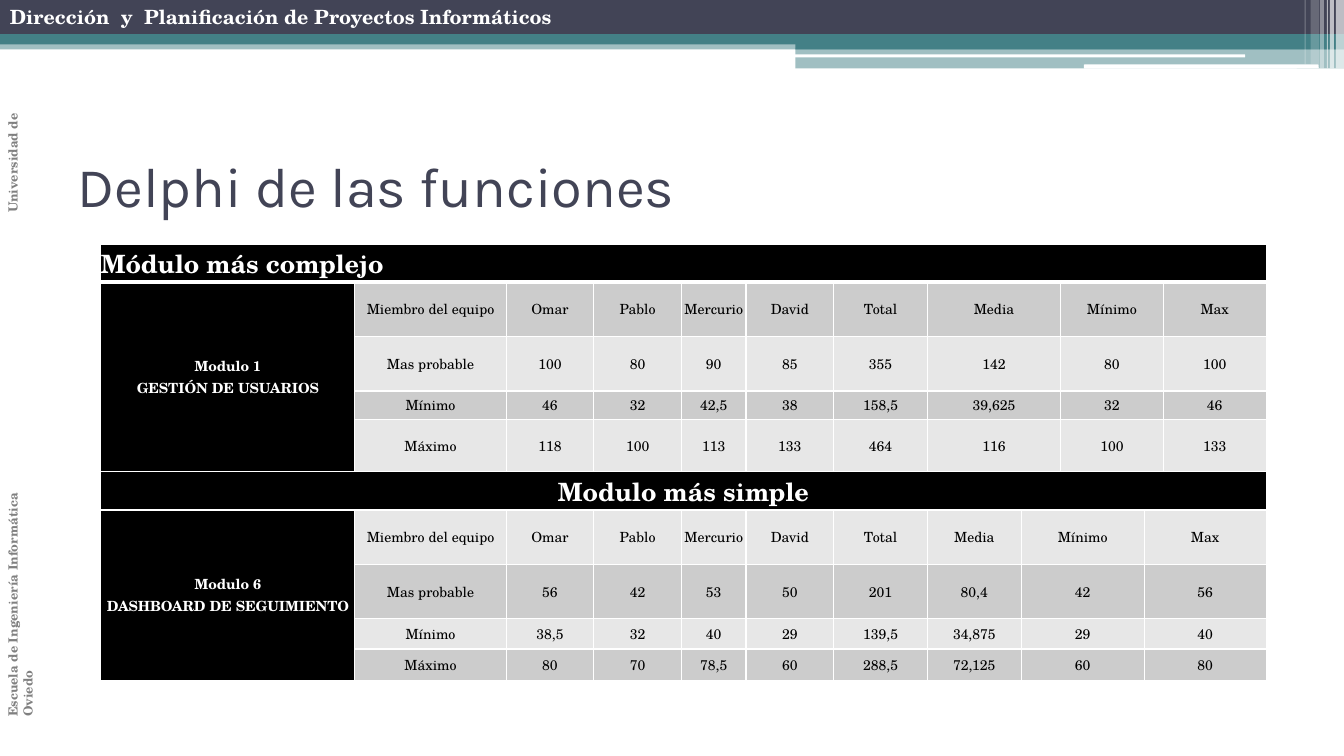
from pptx import Presentation
from pptx.dml.color import RGBColor
from pptx.enum.shapes import MSO_SHAPE
from pptx.enum.text import MSO_ANCHOR, PP_ALIGN
from pptx.oxml import parse_xml
from pptx.oxml.ns import nsdecls, qn
from pptx.util import Inches, Pt
from lxml import etree

NAVY = RGBColor(0x42, 0x44, 0x56)
TEAL = RGBColor(0x43, 0x80, 0x86)
WHITE = RGBColor(0xFF, 0xFF, 0xFF)
BLACK = RGBColor(0, 0, 0)
GRAY = RGBColor(0x80, 0x80, 0x80)
BAND_DARK = RGBColor(0xCC, 0xCC, 0xCC)
BAND_LIGHT = RGBColor(0xE7, 0xE7, 0xE7)


def write(tf, text, size=10, color=BLACK, bold=False, font="TeX Gyre Schola",
          align=PP_ALIGN.LEFT, tabs=()):
    p = tf.paragraphs[0]
    p.alignment = align
    if tabs:
        stops = etree.SubElement(p._p.get_or_add_pPr(), qn("a:tabLst"))
        for tab in tabs:
            etree.SubElement(stops, qn("a:tab"), pos=str(Inches(tab)), algn="l")
    for i, line in enumerate(text.split("\n")):
        if i:
            p.add_line_break()
        r = p.add_run()
        r.text = line
        r.font.name = font
        r.font.size = Pt(size)
        r.font.bold = bold
        r.font.color.rgb = color


prs = Presentation()
prs.slide_width = Inches(13.33)
prs.slide_height = Inches(7.5)
s = prs.slides.add_slide(prs.slide_layouts[6])

RECT, ROUND = MSO_SHAPE.RECTANGLE, MSO_SHAPE.ROUNDED_RECTANGLE
bars = [
    (RECT, 0, 0.4, 13.33, 0.09, TEAL, 50),
    (RECT, 0, 0, 13.33, 0.34, NAVY, 100),
    (RECT, 0, 0.34, 13.33, 0.1, TEAL, 100),
    (RECT, 7.89, 0.39, 5.44, 0.1, TEAL, 100),
    (RECT, 7.89, 0.48, 5.44, 0.2, TEAL, 50),
    (ROUND, 7.88, 0.54, 4.47, 0.03, WHITE, 100),
    (ROUND, 10.75, 0.64, 2.33, 0.04, WHITE, 100),
    (RECT, 13.25, 0, 0.08, 0.68, WHITE, 65),
    (RECT, 13.19, 0, 0.04, 0.68, WHITE, 65),
    (RECT, 13.16, 0, 0.01, 0.68, WHITE, 60),
    (RECT, 13.09, 0, 0.04, 0.68, WHITE, 40),
    (RECT, 13, 0, 0.08, 0.64, WHITE, 20),
    (RECT, 12.94, 0, 0.01, 0.64, WHITE, 30),
]
for kind, x, y, w, h, color, opacity in bars:
    sp = s.shapes.add_shape(kind, Inches(x), Inches(y), Inches(w), Inches(h))
    sp.shadow.inherit = False
    sp.line.fill.background()
    sp.fill.solid()
    sp.fill.fore_color.rgb = color
    if opacity < 100:
        clr = sp.fill._xPr.find(qn("a:solidFill"))[0]
        etree.SubElement(clr, qn("a:alpha")).set("val", str(opacity * 1000))

labels = [
    (0, 0, 8.24, 0.34, "horz", MSO_ANCHOR.TOP,
     "Dirección  y  Planificación de Proyectos Informáticos",
     dict(size=14, color=WHITE, bold=True)),
    (0, 0.54, 0.35, 6.67, "vert270", MSO_ANCHOR.TOP,
     "Escuela de Ingeniería Informática\t\t\tUniversidad de Oviedo",
     dict(size=9, color=GRAY, bold=True, tabs=(3, 4, 5))),
    (0.67, 1.25, 12, 1.17, "horz", MSO_ANCHOR.MIDDLE, "Delphi de las funciones",
     dict(size=40, color=NAVY, font="Karla")),
]
for x, y, w, h, direction, anchor, text, fmt in labels:
    tf = s.shapes.add_textbox(Inches(x), Inches(y), Inches(w), Inches(h)).text_frame
    tf.word_wrap = True
    tf.vertical_anchor = anchor
    tf._txBody.bodyPr.set("vert", direction)
    write(tf, text, **fmt)

COLS = [2.52, 1.5, 0.87, 0.87, 0.64, 0.87, 0.93, 0.93, 0.39, 0.83, 0.19, 1.02]
ROWS = [0.38, 0.54, 0.54, 0.28, 0.52, 0.38, 0.54, 0.54, 0.3, 0.31]
HEADINGS = ["Miembro del equipo", "Omar", "Pablo", "Mercurio", "David",
            "Total", "Media", "Mínimo", "Max"]
modules = [
    (0, "Módulo más complejo", PP_ALIGN.LEFT, "Modulo 1\nGESTIÓN DE USUARIOS",
     [1, 2, 3, 4, 5, 6, 7, 9, 11, 12],
     [HEADINGS,
      ["Mas probable", "100", "80", "90", "85", "355", "142", "80", "100"],
      ["Mínimo", "46", "32", "42,5", "38", "158,5", "39,625", "32", "46"],
      ["Máximo", "118", "100", "113", "133", "464", "116", "100", "133"]]),
    (5, "Modulo más simple", PP_ALIGN.CENTER, "Modulo 6\nDASHBOARD DE SEGUIMIENTO",
     [1, 2, 3, 4, 5, 6, 7, 8, 10, 12],
     [HEADINGS,
      ["Mas probable", "56", "42", "53", "50", "201", "80,4", "42", "56"],
      ["Mínimo", "38,5", "32", "40", "29", "139,5", "34,875", "29", "40"],
      ["Máximo", "80", "70", "78,5", "60", "288,5", "72,125", "60", "80"]]),
]

table = s.shapes.add_table(len(ROWS), len(COLS), Inches(1), Inches(2.42),
                           Inches(sum(COLS)), Inches(sum(ROWS))).table
for column, width in zip(table.columns, COLS):
    column.width = Inches(width)
for row, height in zip(table.rows, ROWS):
    row.height = Inches(height)

for i in range(len(ROWS)):
    for j in range(len(COLS)):
        cell = table.cell(i, j)
        cell.margin_left = cell.margin_right = cell.margin_top = cell.margin_bottom = 0
        cell.vertical_anchor = MSO_ANCHOR.MIDDLE
        cell.fill.solid()
        band = BAND_DARK if i % 2 else BAND_LIGHT
        cell.fill.fore_color.rgb = BLACK if i in (0, 5) or j == 0 else band
        tcPr = cell._tc.get_or_add_tcPr()
        for k, side in enumerate(["lnL", "lnR", "lnT", "lnB"]):
            thick = (i, side) in [(0, "lnB"), (1, "lnT")]
            tcPr.insert(k, parse_xml(
                f'<a:{side} {nsdecls("a")} w="{Pt(3 if thick else 1)}"><a:solidFill>'
                f'<a:srgbClr val="{WHITE}"/></a:solidFill></a:{side}>'))

for top, heading, align, name, starts, data in modules:
    banner = table.cell(top, 0)
    banner.merge(table.cell(top, len(COLS) - 1))
    write(banner.text_frame, heading, size=18, color=WHITE, bold=True, align=align)
    module = table.cell(top + 1, 0)
    module.merge(table.cell(top + 4, 0))
    write(module.text_frame, name, color=WHITE, bold=True, align=PP_ALIGN.CENTER)
    for i, values in enumerate(data, top + 1):
        for value, start, end in zip(values, starts, starts[1:]):
            cell = table.cell(i, start)
            if end - start > 1:
                cell.merge(table.cell(i, end - 1))
            write(cell.text_frame, value, align=PP_ALIGN.CENTER)

prs.save("out.pptx")
